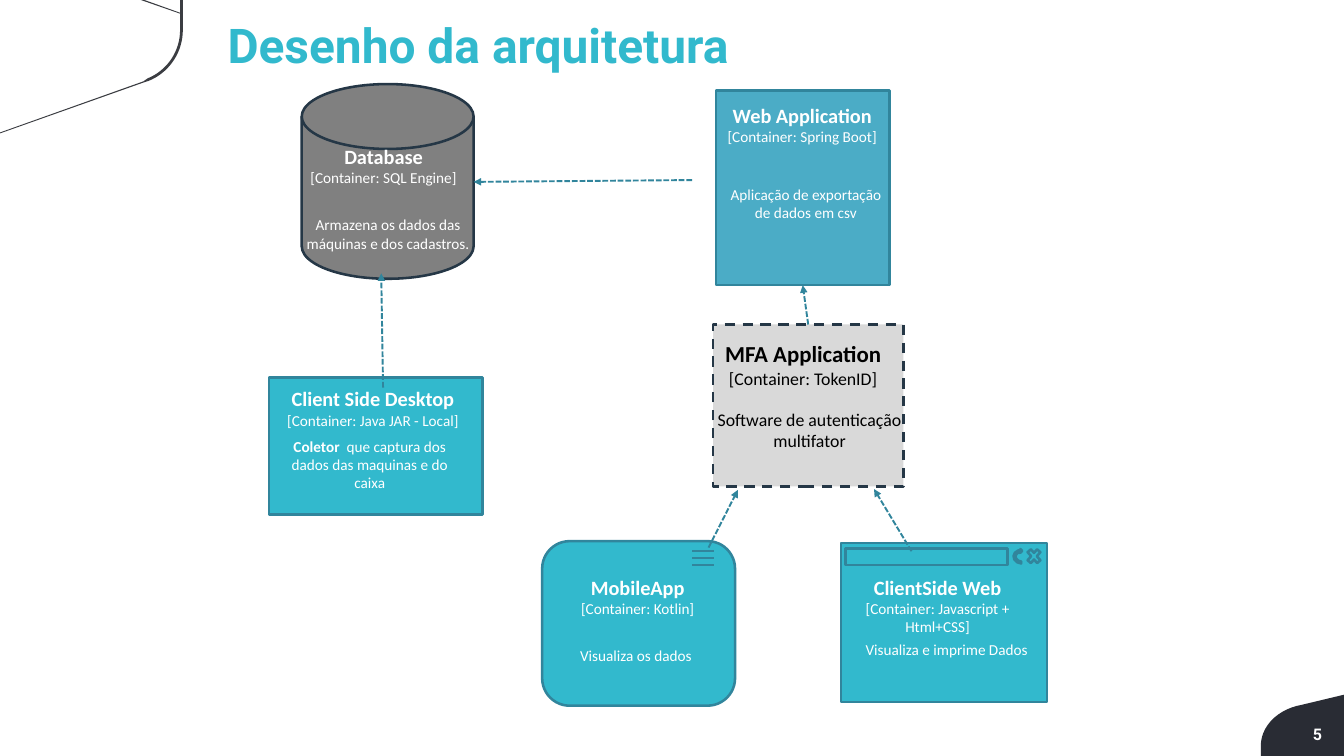
from math import cos, radians, sin

from pptx import Presentation
from pptx.dml.color import RGBColor
from pptx.enum.dml import MSO_LINE
from pptx.enum.shapes import MSO_CONNECTOR, MSO_SHAPE
from pptx.enum.text import MSO_ANCHOR, PP_ALIGN
from pptx.oxml.ns import qn
from pptx.util import Inches, Pt

TEAL = RGBColor(0x32, 0xB9, 0xCD)
BLUE = RGBColor(0x4B, 0xAC, 0xC6)
EDGE = RGBColor(0x31, 0x85, 0x9C)
NAVY = RGBColor(0x25, 0x37, 0x46)
GRAY = RGBColor(0x80, 0x80, 0x80)
SILVER = RGBColor(0xD9, 0xD9, 0xD9)
COAL = RGBColor(0x29, 0x2C, 0x34)
INK = RGBColor(0x3B, 0x3D, 0x42)
WHITE = RGBColor(0xFF, 0xFF, 0xFF)
BLACK = RGBColor(0, 0, 0)

presentation = Presentation()
presentation.slide_width = Inches(14.7)
presentation.slide_height = Inches(8.27)
slide = presentation.slides.add_slide(presentation.slide_layouts[6])
shapes = slide.shapes

# The slide is a grid; every length below is in its columns and rows
COLUMNS, ROWS = 147, 82.7
COLUMN = presentation.slide_width / COLUMNS
ROW = presentation.slide_height / ROWS


def place(*lengths):
    """Turn alternating columns and rows into slide lengths."""
    return [round(length * (ROW if index % 2 else COLUMN))
            for index, length in enumerate(lengths)]


def write(paragraph, text, size=12, color=WHITE, bold=False, font="Calibri",
          align=PP_ALIGN.CENTER):
    """Add a formatted run of text to a paragraph."""
    paragraph.alignment = align
    run = paragraph.add_run()
    run.text = text
    run.font.name = font
    run.font.size = Pt(size)
    run.font.bold = bold
    run.font.color.rgb = color


# Corner decorations
outer_arc = [(14 + 6 * cos(radians(a)), 3.3 + 6 * sin(radians(a)))
             for a in range(68, -1, -4)]
inner_arc = [(14 + 5.7 * cos(radians(a)), 3.3 + 5.7 * sin(radians(a)))
             for a in range(0, 69, 4)]
page_arc = [(143.6 + 5.7 * cos(radians(a)), 81.6 + 4.6 * sin(radians(a)))
            for a in range(258, 179, -6)]
top_corner = [(0, 14.6), (15.8, 9), *outer_arc, (20, 0), (19.7, 0), (19.7, 1.4),
              (15.8, 0), (15.4, 0), (19.7, 1.5), *inner_arc, (15.7, 8.9), (0, 14.5)]
page_corner = [(COLUMNS, 76), *page_arc, (137.9, ROWS), (COLUMNS, ROWS)]

for outline, color in ((page_corner, COAL), (top_corner, INK)):
    points = [place(*point) for point in outline]
    builder = shapes.build_freeform(*points[0])
    builder.add_line_segments(points[1:], close=True)
    corner = builder.convert_to_shape()
    corner.shadow.inherit = False
    corner.fill.solid()
    corner.fill.fore_color.rgb = color
    corner.line.fill.background()

# Title and page number
title = shapes.add_textbox(*place(23.9, 1.2, 117.9, 8.4)).text_frame
title.word_wrap = True
write(title.paragraphs[0], "Desenho da arquitetura", size=37.7, color=TEAL,
      bold=True, font="Roboto", align=PP_ALIGN.LEFT)

page = shapes.add_textbox(*place(137.9, 79.1, 6.9, 2.3)).text_frame
page.word_wrap = True
page.vertical_anchor = MSO_ANCHOR.MIDDLE
page.margin_left = page.margin_right = Inches(0.02)
page.margin_top = page.margin_bottom = Inches(0.01)
write(page.paragraphs[0], "5", size=12.6, bold=True, font="Roboto",
      align=PP_ALIGN.RIGHT)

# Containers, with the browser window's address bar and buttons
containers = [
    (MSO_SHAPE.FLOWCHART_MAGNETIC_DISK, (33, 9.2, 18.8, 21.3), GRAY, NAVY, 0),
    (MSO_SHAPE.RECTANGLE, (78.3, 9.9, 19, 21.3), BLUE, EDGE, 0),
    (MSO_SHAPE.RECTANGLE, (78, 35.5, 20.8, 17.7), SILVER, NAVY, 0),
    (MSO_SHAPE.RECTANGLE, (92, 59.4, 22.5, 17.4), TEAL, EDGE, 0),
    (MSO_SHAPE.RECTANGLE, (92.5, 60, 17.7, 1.8), None, EDGE, 0),
    (MSO_SHAPE.MATH_MULTIPLY, (112.1, 59.7, 2, 2.3), None, EDGE, 0),
    (MSO_SHAPE.CIRCULAR_ARROW, (110.9, 59.9, 1.7, 2), None, EDGE, 275),
    (MSO_SHAPE.ROUNDED_RECTANGLE, (59.3, 59.2, 21.1, 18), TEAL, EDGE, 0),
    (MSO_SHAPE.RECTANGLE, (29.4, 41.3, 23.4, 15), TEAL, EDGE, 0),
]
for kind, area, fill, edge, rotation in containers:
    shape = shapes.add_shape(kind, *place(*area))
    shape.shadow.inherit = False
    shape.rotation = rotation
    shape.line.color.rgb = edge
    shape.line.width = Pt(2)
    if fill is None:
        shape.fill.background()
    else:
        shape.fill.solid()
        shape.fill.fore_color.rgb = fill
    if fill == SILVER:
        shape.line.dash_style = MSO_LINE.DASH

# Captions: each area holds paragraphs, each paragraph holds (text, size, bold)
captions = [
    ((77.5, 10.8, 20.5, 5.7), WHITE,
     [[("Web Application", 16, True)], [("[Container: Spring Boot]", 12, False)]]),
    ((78.9, 19.8, 18.5, 7.1), WHITE,
     [[("Aplicação de exportação de dados em csv", 12, False)]]),
    ((31.7, 15.3, 20.5, 5.7), WHITE,
     [[("Database", 16, True)], [("[Container: SQL Engine]", 12, False)]]),
    ((32.2, 23.1, 20.5, 5), WHITE,
     [[("Armazena os dados das máquinas e dos cadastros.", 12, False)]]),
    ((76.6, 36.7, 22.5, 6.4), BLACK,
     [[("MFA Application", 18, True)], [("[Container: TokenID]", 14, False)]]),
    ((77.3, 44.2, 22.5, 5.7), BLACK,
     [[("Software de autenticação multifator", 14, False)]]),
    ((90.8, 62.4, 23.5, 7.7), WHITE,
     [[("ClientSide Web", 16, True)],
      [("[Container: Javascript + Html+CSS]", 12, False)]]),
    ((91.8, 69.5, 23.5, 3), WHITE, [[("Visualiza e imprime Dados", 12, False)]]),
    ((58, 62.4, 23.5, 5.7), WHITE,
     [[("MobileApp", 16, True)], [("[Container: Kotlin]", 12, False)]]),
    ((59, 70.2, 21.1, 3), WHITE, [[("Visualiza os dados", 12, False)]]),
    ((30.6, 47.3, 19.7, 9), WHITE,
     [[("Coletor", 12, True),
       ("  que captura dos dados das maquinas e do caixa", 12, False)]]),
    ((29.1, 41.8, 23.4, 7.3), WHITE,
     [[("Client Side Desktop", 16, True)],
      [("[Container: Java JAR - Local]", 12, False)]]),
]
for area, color, paragraphs in captions:
    frame = shapes.add_textbox(*place(*area)).text_frame
    frame.word_wrap = True
    for index, runs in enumerate(paragraphs):
        paragraph = frame.add_paragraph() if index else frame.paragraphs[0]
        for text, size, bold in runs:
            write(paragraph, text, size=size, color=color, bold=bold)

# Dashed arrows between containers, and the bars of the mobile menu
arrows = [
    (75.7, 19.7, 51.8, 19.9),
    (88.4, 35.5, 87.8, 31.2),
    (77.5, 59.9, 80.7, 53.6),
    (99.7, 60.3, 95.6, 53.5),
    (41.9, 42.4, 41.7, 29.9),
]
menu_bars = [(75.7, 60.3 + 0.75 * bar, 78.1, 60.3 + 0.75 * bar) for bar in range(3)]

for ends in arrows + menu_bars:
    connector = shapes.add_connector(MSO_CONNECTOR.STRAIGHT, *place(*ends))
    properties = connector.line._get_or_add_ln().getparent()
    connector.line.color.rgb = EDGE
    connector.line.width = Pt(2)
    if ends in arrows:
        connector.line.width = Pt(1.5)
        connector.line.dash_style = MSO_LINE.SQUARE_DOT
        line = connector.line._get_or_add_ln()
        line.append(line.makeelement(qn("a:tailEnd"), {"type": "triangle"}))
    properties.append(properties.makeelement(qn("a:effectLst"), {}))

presentation.save("out.pptx")
